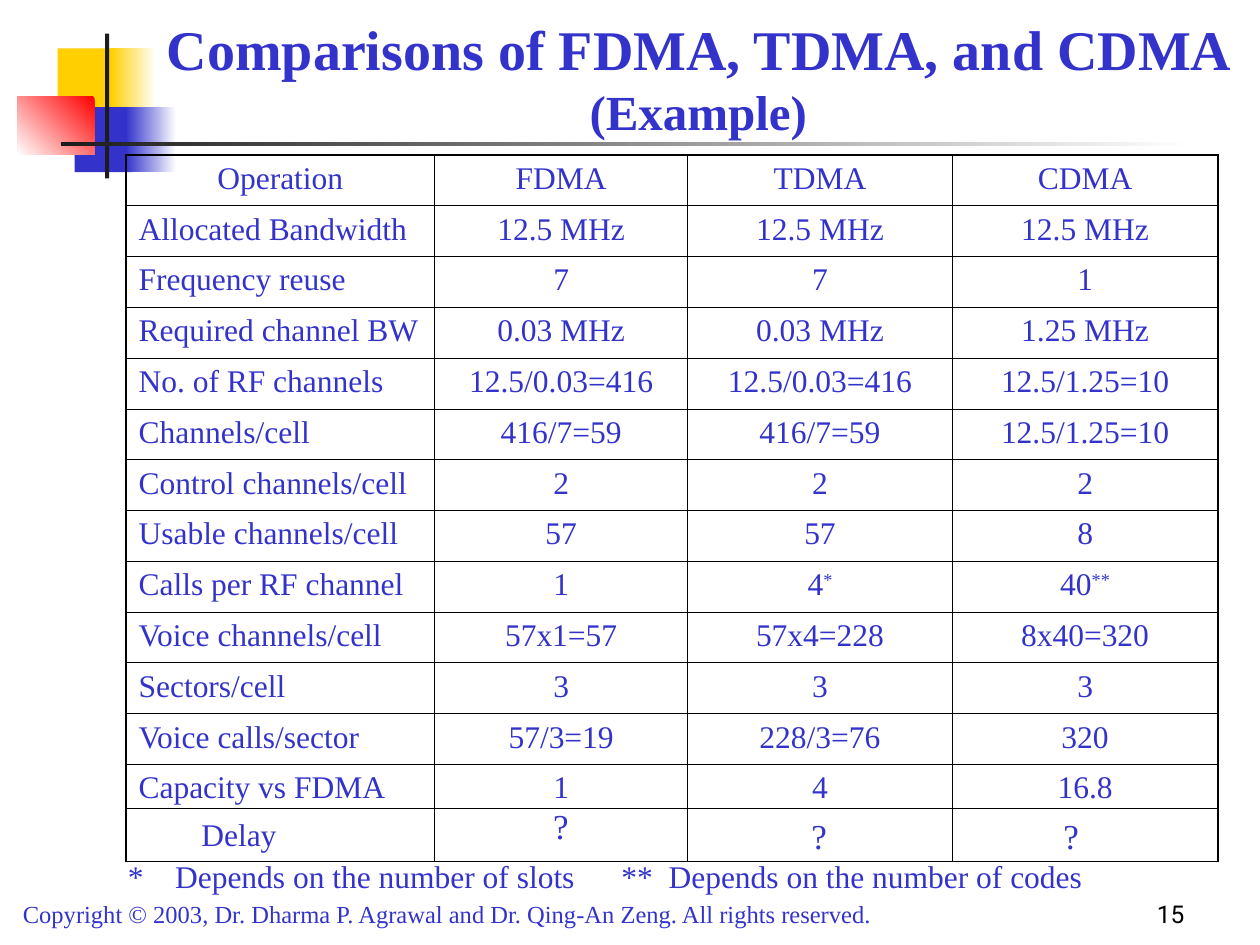
from lxml.etree import SubElement
from pptx import Presentation
from pptx.dml.color import RGBColor
from pptx.enum.shapes import MSO_CONNECTOR, MSO_SHAPE
from pptx.enum.text import MSO_ANCHOR, PP_ALIGN
from pptx.oxml.ns import qn
from pptx.util import Inches, Pt

BLUE = RGBColor(0x33, 0x33, 0xCC)
YELLOW = RGBColor(0xFF, 0xCF, 0x01)
RED = RGBColor(0xFF, 0x00, 0x00)
WHITE = RGBColor(0xFF, 0xFF, 0xFF)
DARK = RGBColor(0x1C, 0x1C, 0x1C)
BLACK = RGBColor(0x00, 0x00, 0x00)

SERIF = "Times New Roman"
THIN, THICK = 0.45, 1.08  # table rules in points

# Table in grid units
TABLE_LEFT, TABLE_TOP = 12, 14.75
COLUMNS = [29.4, 24.1, 25.2, 25.3]
ROW, LAST_ROW = 4.84, 9.24
ROWS = [
    ["Operation", "FDMA", "TDMA", "CDMA"],
    ["Allocated Bandwidth", "12.5 MHz", "12.5 MHz", "12.5 MHz"],
    ["Frequency reuse", "7", "7", "1"],
    ["Required channel BW", "0.03 MHz", "0.03 MHz", "1.25 MHz"],
    ["No. of RF channels", "12.5/0.03=416", "12.5/0.03=416", "12.5/1.25=10"],
    ["Channels/cell", "416/7=59", "416/7=59", "12.5/1.25=10"],
    ["Control channels/cell", "2", "2", "2"],
    ["Usable channels/cell", "57", "57", "8"],
    ["Calls per RF channel", "1", "4*", "40**"],
    ["Voice channels/cell", "57x1=57", "57x4=228", "8x40=320"],
    ["Sectors/cell", "3", "3", "3"],
    ["Voice calls/sector", "57/3=19", "228/3=76", "320"],
    ["Capacity vs FDMA", "1", "4", "16.8"],
]


def grid(*units):
    """Lengths on a grid of 120 columns by 90 rows over the slide."""
    return [Inches(unit / 12) for unit in units]


def style(paragraph, size, color=BLUE, name=SERIF, bold=False):
    font = paragraph.font
    font.size, font.name, font.bold = Pt(size), name, bold
    font.color.rgb = color


def add_block(page, area, color, fade_to=None, angle=0):
    """A plain rectangle, or one that fades from color to fade_to."""
    block = page.shapes.add_shape(MSO_SHAPE.RECTANGLE, *grid(*area))
    block.shadow.inherit = False
    block.line.fill.background()
    if fade_to is None:
        block.fill.solid()
        block.fill.fore_color.rgb = color
        return
    block.fill.gradient()
    block.fill.gradient_angle = angle
    for stop, shade in zip(block.fill.gradient_stops, (color, fade_to)):
        stop.color.rgb = shade


def add_text(page, area, spans, size, tabs=(), align=PP_ALIGN.LEFT,
             anchor=MSO_ANCHOR.TOP, **look):
    """One paragraph; spans are (text, own size or None) pairs."""
    box = page.shapes.add_textbox(*grid(*area))
    frame = box.text_frame
    frame.word_wrap, frame.vertical_anchor = True, anchor
    para = frame.paragraphs[0]
    para.alignment = align
    if tabs:
        stops = SubElement(para._p.get_or_add_pPr(), qn("a:tabLst"))
        for position in grid(*tabs):
            SubElement(stops, qn("a:tab"), pos=str(position), algn="l")
    style(para, size, **look)
    for text, own_size in spans:
        span = para.add_run()
        span.text = text
        if own_size:
            span.font.size = Pt(own_size)


def set_borders(cell, widths):
    """Rule the left, right, top and bottom edges of a cell."""
    properties = cell._tc.get_or_add_tcPr()
    for side, width in zip("LRTB", widths):
        line = SubElement(properties, qn("a:ln" + side), w=str(Pt(width)))
        fill = SubElement(line, qn("a:solidFill"))
        SubElement(fill, qn("a:srgbClr"), val=str(BLACK))


def fill_cell(cell, text, centred):
    para = cell.text_frame.paragraphs[0]
    para.alignment = PP_ALIGN.CENTER if centred else PP_ALIGN.LEFT
    style(para, 18)
    value = text.rstrip("*")
    para.add_run().text = value
    if value != text:
        mark = para.add_run()
        mark.text = text[len(value):]
        mark.font._element.set("baseline", "30000")


def add_comparison(page):
    last_row, last_column = len(ROWS) - 1, len(COLUMNS) - 1
    heights = [ROW] * last_row + [LAST_ROW]
    area = grid(TABLE_LEFT, TABLE_TOP, sum(COLUMNS), sum(heights))
    table = page.shapes.add_table(len(ROWS), len(COLUMNS), *area).table
    table.first_row = table.horz_banding = False
    for column, width in zip(table.columns, grid(*COLUMNS)):
        column.width = width
    for row, height in zip(table.rows, grid(*heights)):
        row.height = height
    for r, texts in enumerate(ROWS):
        for c, text in enumerate(texts):
            cell = table.cell(r, c)
            outer = (c == 0, c == last_column, r == 0, r == last_row)
            set_borders(cell, [THICK if edge else THIN for edge in outer])
            cell.fill.background()
            fill_cell(cell, text, centred=r == 0 or c > 0)


def add_rule(page, left, right, top):
    start_x, end_x, y = grid(left, right, top)
    rule = page.shapes.add_connector(MSO_CONNECTOR.STRAIGHT, start_x, y, end_x, y)
    rule.line.width = Pt(0.75)
    rule.line.color.rgb = BLACK
    SubElement(rule._element.spPr, qn("a:effectLst"))


def main():
    deck = Presentation()
    deck.slide_width, deck.slide_height = grid(120, 90)
    page = deck.slides.add_slide(deck.slide_layouts[6])

    # Corner ornament
    add_block(page, (5.5, 4.6, 5.75, 6.2), YELLOW)
    add_block(page, (10.55, 4.6, 4.3, 6.2), WHITE, YELLOW, 180)
    add_block(page, (7.1, 10.2, 5.5, 6.2), BLUE)
    add_block(page, (12, 10.2, 4.8, 6.2), WHITE, BLUE, 180)
    add_block(page, (1.65, 9.2, 7.35, 5.55), RED, WHITE, 225)
    add_block(page, (10, 3.2, 0.4, 13.8), DARK)
    add_block(page, (5.8, 13.55, 108, 0.4), WHITE, DARK, 180)

    # Copyright line and title
    add_text(page, (1, 85, 91, 4.1), [(
        "Copyright © 2003, Dr. Dharma P. Agrawal and Dr. Qing-An Zeng. "
        "All rights reserved.", None)], 14)
    add_text(page, (13, 1, 107, 13),
             [("Comparisons of FDMA, TDMA, and CDMA ", None), ("(Example)", 28)],
             32, align=PP_ALIGN.CENTER, anchor=MSO_ANCHOR.BOTTOM, bold=True)

    # Table and its footnotes
    add_comparison(page)
    add_text(page, (11, 81, 105, 4.8), [(
        "*\tDepends on the number of slots\t**\tDepends on the number of codes",
        None)], 18, tabs=(4.5, 47, 51.5))

    # Delay row, ruled off inside the last table row
    add_rule(page, TABLE_LEFT, TABLE_LEFT + sum(COLUMNS), 77)
    add_text(page, (18, 77, 16, 4.8), [("Delay", None)], 18)
    add_text(page, (49, 76, 7, 5.3), [("\t?", None)], 20, tabs=(2.5,))
    add_text(page, (72, 77, 38, 5.3), [("\t?\t?", None)], 20, tabs=(4.1, 28.1))

    # Page number
    add_text(page, (89, 83, 25, 6), [("15", None)], 14, align=PP_ALIGN.RIGHT,
             anchor=MSO_ANCHOR.BOTTOM, color=BLACK, name="Roboto")

    deck.save("out.pptx")


if __name__ == "__main__":
    main()
